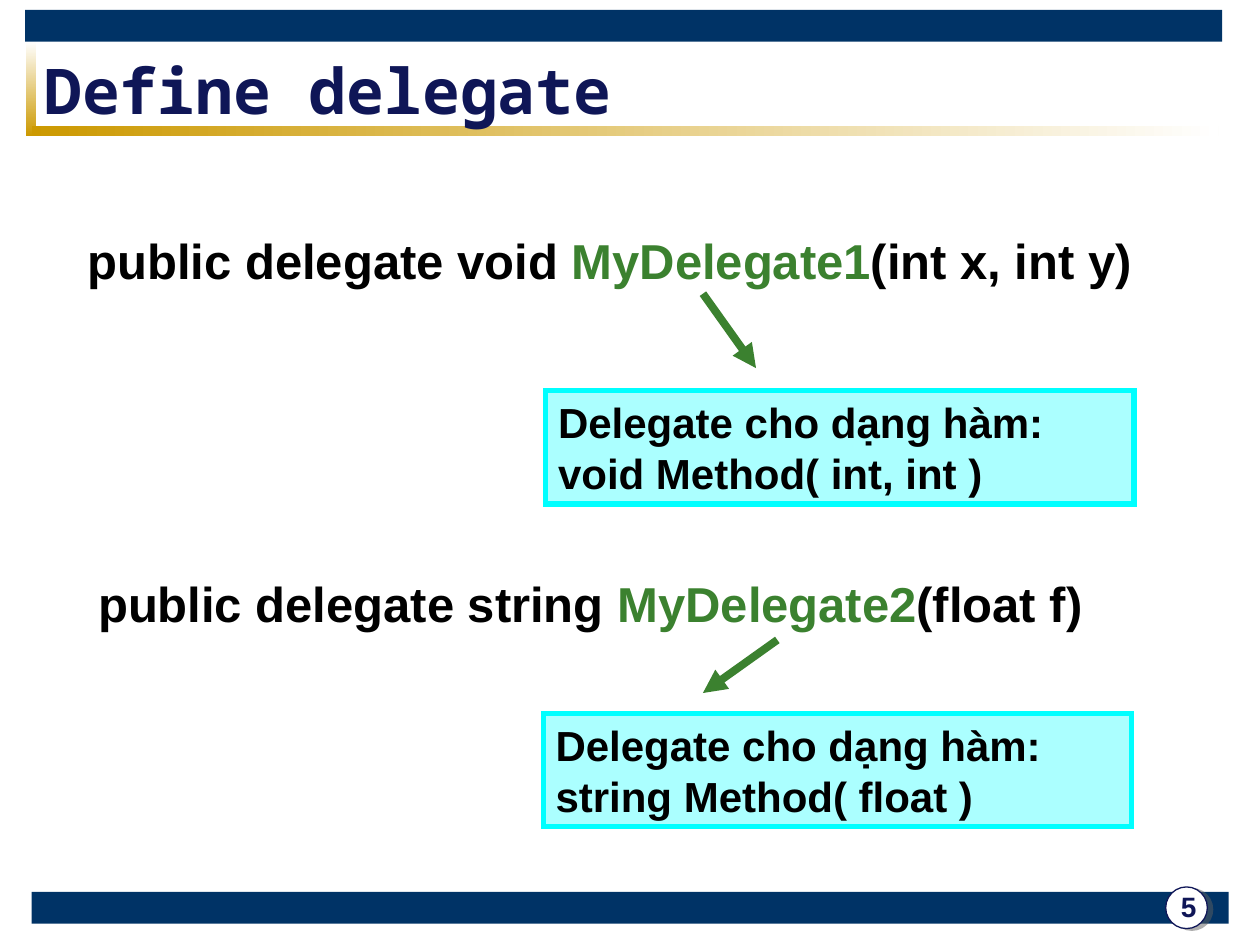
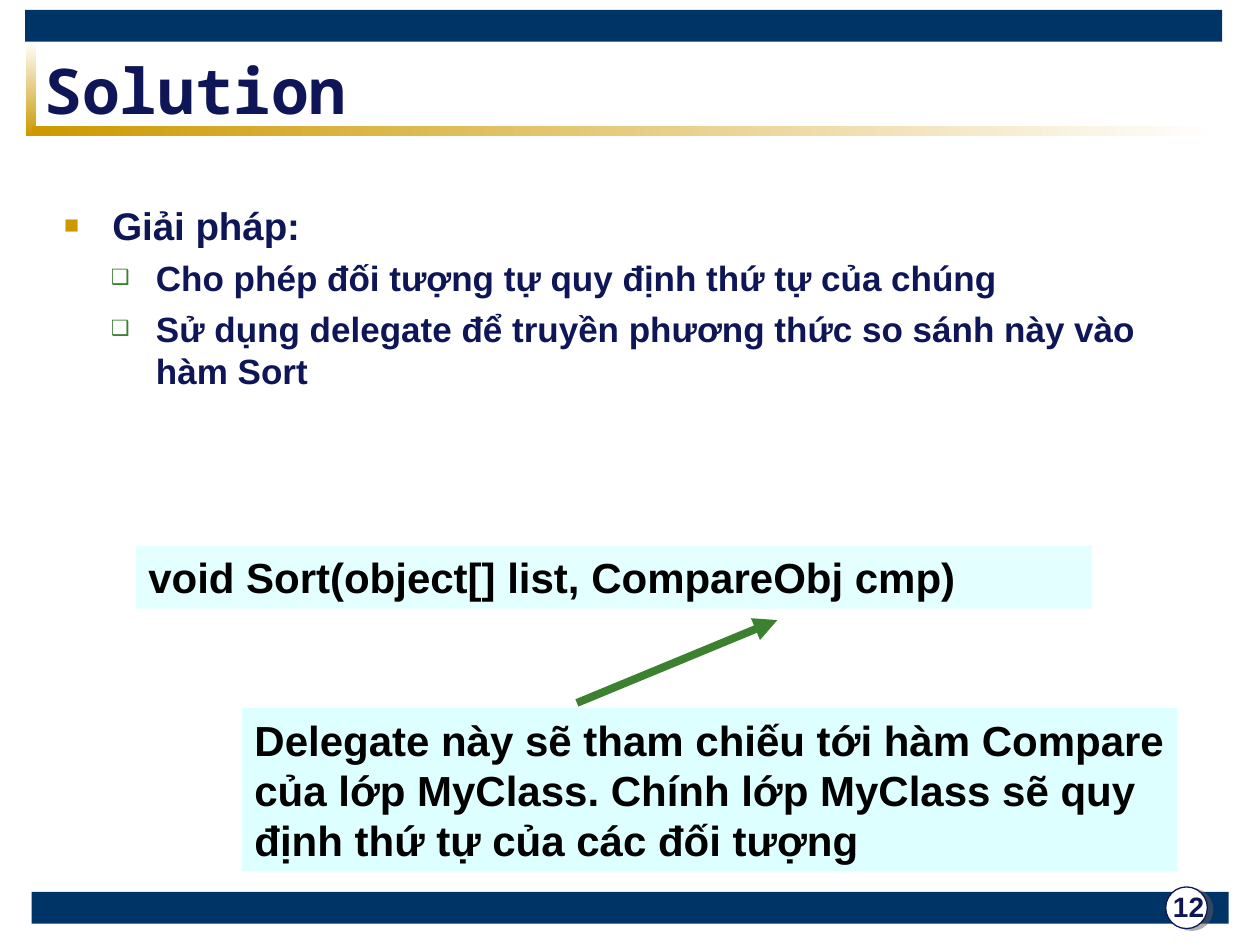
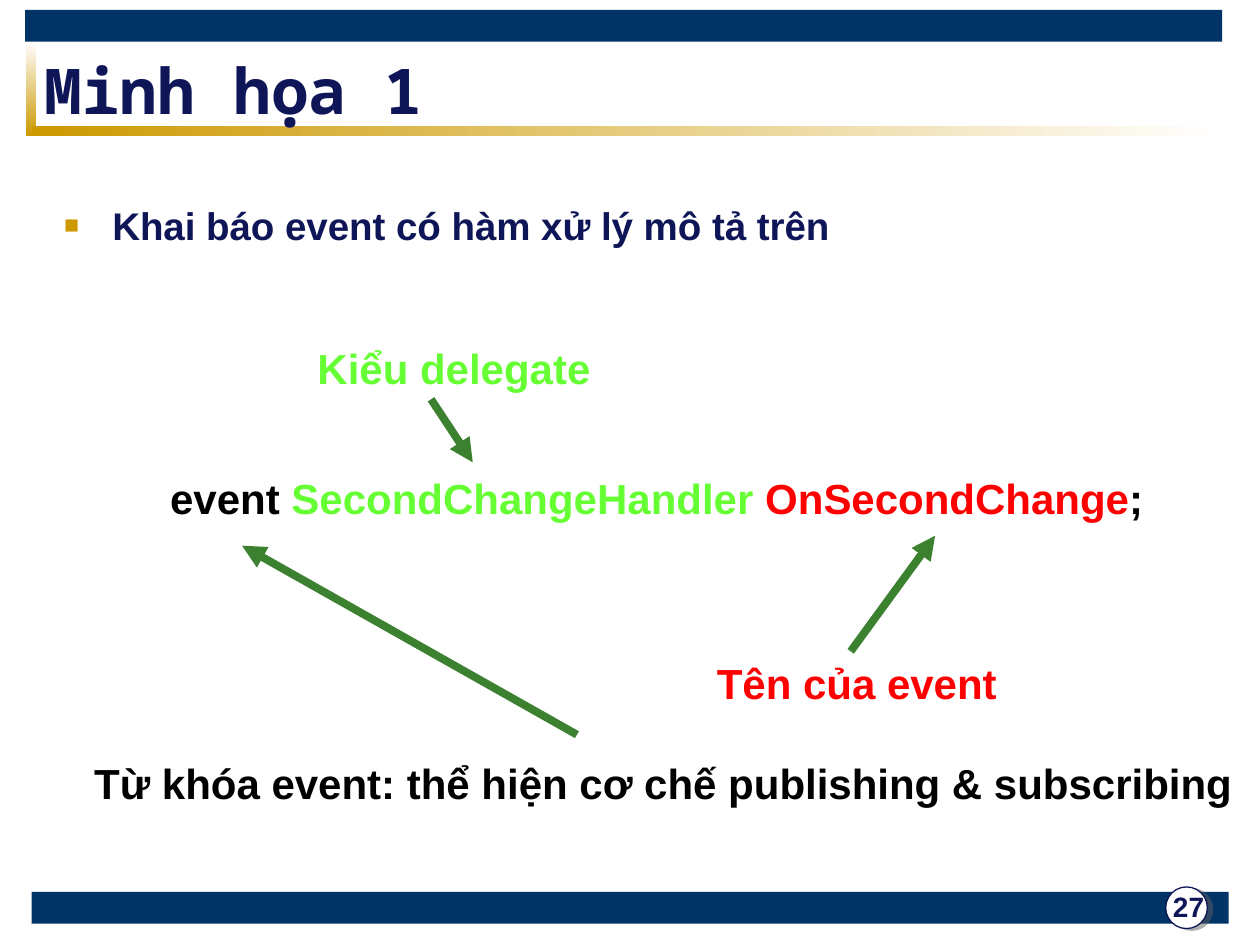
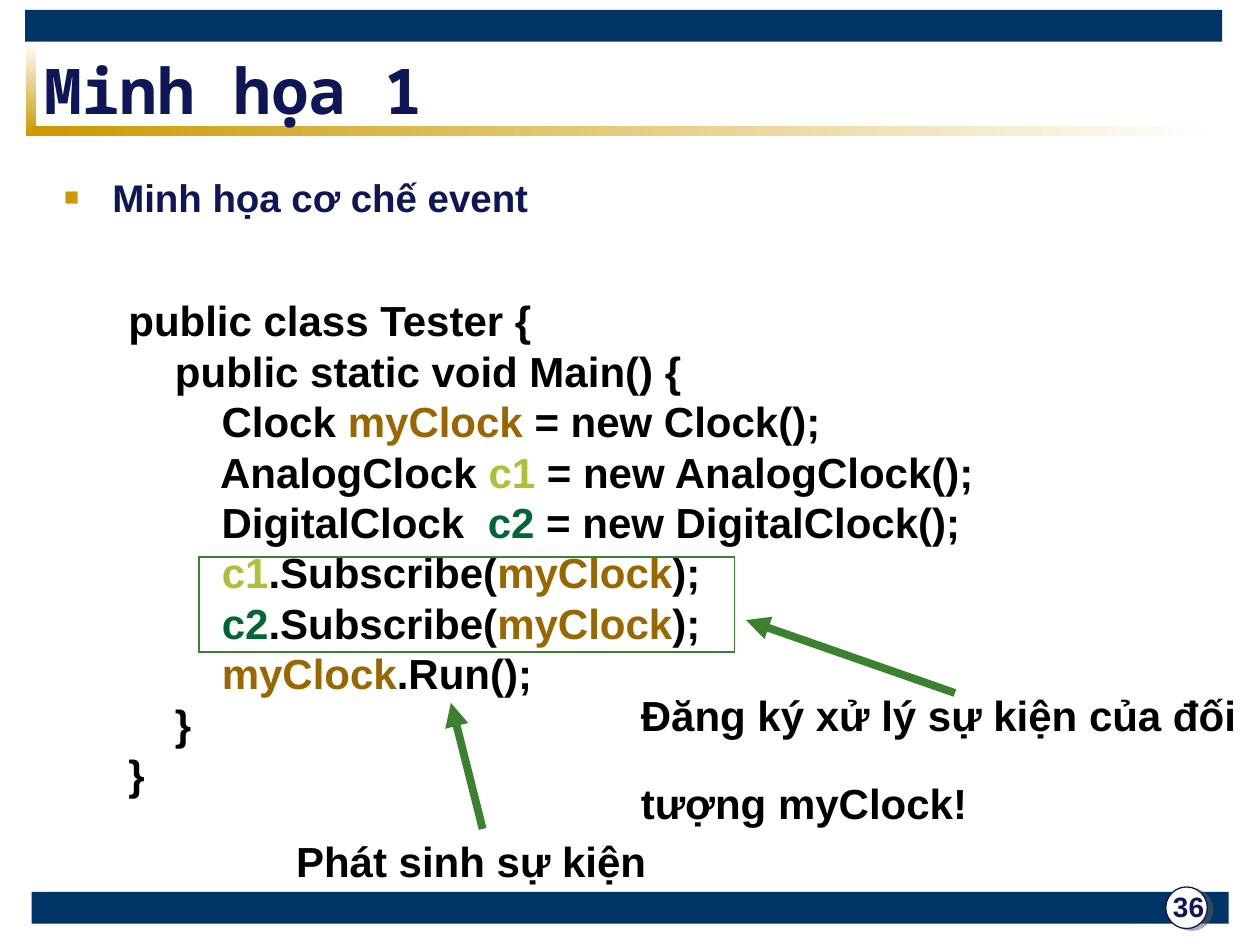
import pptx
import pptx.dml.color
import pptx.enum.shapes
import pptx.enum.text
import pptx.oxml
import pptx.oxml.ns
import pptx.util
from lxml import etree

Cm, Pt = pptx.util.Cm, pptx.util.Pt
qn = pptx.oxml.ns.qn
SHAPE = pptx.enum.shapes.MSO_SHAPE
ANCHOR = pptx.enum.text.MSO_ANCHOR
AUTO = pptx.enum.text.MSO_AUTO_SIZE

COLORS = {
    "white": "FFFFFF", "black": "000000", "band": "003366", "navy": "0F1657",
    "gold": "CC9900", "green": "3B812F", "lime": "66FF33", "red": "FF0000",
    "cyan": "00FFFF", "pale": "CCFFFF", "brown": "996600", "olive": "AFBF39",
    "forest": "006633", "shadow": "5F5F5F",
}
TEXT_FONT, TITLE_FONT = "Arial", "Noto Sans Mono"

# Shared frame: positions are left, top, width, height in cm
BANDS = [(0.64, 17.98, 24.13, 0.64), (0.51, 0.2, 24.13, 0.64)]
FADES = [  # position, first colour, last colour, angle
    ((0.53, 0.84, 0.2, 1.9), "white", "gold", 270),
    ((0.64, 2.54, 23.93, 0.2), "gold", "white", 0),
]
BADGE = (23.5, 17.88, 0.84, 0.84)
NUMBER = (23.34, 17.8, 1.24, 0.94)
TITLE = (0.64, 1.07, 22.86, 1.47)

# Bullet levels: character, colour, size %, text indent (cm), hanging (cm), font pt, space before pt
LEVELS = [
    ("■", "gold", 65, 0.97, 0.97, 22, 5.5),
    ("❑", "green", 60, 1.85, 0.91, 20, 5),
]

# Panels: fill, opacity %, border width, anchor
PANELS = {
    "note": ("cyan", 33, 3, ANCHOR.MIDDLE),
    "signature": ("pale", 54, 0, ANCHOR.TOP),
    "remark": ("pale", 63, 0, ANCHOR.TOP),
}

# A text is position, lines, options; a line is a string or a list of (words, colour)
SLIDES = [
    {
        "title": "Define delegate", "number": 5,
        "texts": [
            ((1.52, 4.52, 21.9, 1.45),
             [[("public delegate void ", "black"), ("MyDelegate1", "green"),
               ("(int x, int y)", "black")]], {"size": 28}),
            ((11, 7.87, 11.86, 2.29),
             ["Delegate cho dạng hàm: void Method( int, int )"], {"panel": "note"}),
            ((1.73, 11.43, 20.7, 1.45),
             [[("public delegate string ", "black"), ("MyDelegate2", "green"),
               ("(float f)", "black")]], {"size": 28}),
            ((10.95, 14.38, 11.86, 2.29),
             ["Delegate cho dạng hàm: string Method( float )"], {"panel": "note"}),
        ],
        "arrows": [(14.17, 5.92, 15.24, 7.42), (15.67, 12.9, 14.17, 13.97)],
    },
    {
        "title": "Solution", "number": 12,
        "body": ((1.04, 3.94, 23.29, 6.45), [
            (0, "Giải pháp:"),
            (1, "Cho phép đối tượng tự quy định thứ tự của chúng"),
            (1, "Sử dụng delegate để truyền phương thức so sánh này vào hàm Sort"),
        ]),
        "texts": [
            ((2.74, 11, 19.28, 1.27),
             ["void Sort(object[] list, CompareObj cmp)"], {"panel": "signature"}),
            ((4.88, 14.27, 18.85, 3.3),
             ["Delegate này sẽ tham chiếu tới hàm Compare của lớp MyClass. "
              "Chính lớp MyClass sẽ quy định thứ tự của các đối tượng"],
             {"panel": "remark"}),
        ],
        "arrows": [(11.63, 14.17, 15.67, 12.5)],
    },
    {
        "title": "Minh họa 1", "number": 27,
        "body": ((1.04, 3.94, 23.29, 3.1),
                 [(0, "Khai báo event có hàm xử lý mô tả trên")]),
        "texts": [
            ((3.18, 9.4, 20.2, 2.29),
             [[("event ", "black"), ("SecondChangeHandler ", "lime"),
               ("OnSecondChange", "red"), (";", "black")]], {}),
            ((6.15, 6.78, 6.2, 1.27), [[("Kiểu delegate", "lime")]], {}),
            ((14.2, 13.13, 6.3, 1.27), [[("Tên của event", "red")]], {}),
            ((1.65, 15.14, 23.7, 1.27),
             ["Từ khóa event: thể hiện cơ chế publishing & subscribing"], {}),
        ],
        "arrows": [(8.69, 8.05, 9.53, 9.32), (17.15, 13.13, 18.85, 10.8),
                   (11.63, 14.81, 4.88, 11)],
    },
    {
        "title": "Minh họa 1", "number": 36,
        "body": ((1.04, 3.38, 23.29, 1.47), [(0, "Minh họa cơ chế event")]),
        "texts": [
            ((2.34, 5.82, 21.59, 10.41), [
                "public class Tester {",
                "    public static void Main() {",
                [("        Clock ", "black"), ("myClock", "brown"),
                 (" = new Clock();", "black")],
                [("        AnalogClock ", "black"), ("c1", "olive"),
                 (" = new AnalogClock();", "black")],
                [("        DigitalClock  ", "black"), ("c2", "forest"),
                 (" = new DigitalClock();", "black")],
                [("        ", "black"), ("c1", "olive"), (".Subscribe(", "black"),
                 ("myClock", "brown"), (");", "black")],
                [("        ", "black"), ("c2", "forest"), (".Subscribe(", "black"),
                 ("myClock", "brown"), (");", "black")],
                [("        ", "black"), ("myClock", "brown"), (".Run();", "black")],
                "    }",
                "}",
            ], {"wrap": True}),
            ((12.67, 13.77, 12.73, 2.29),
             ["Đăng ký xử lý sự kiện của đối \vtượng myClock!"], {}),
            ((5.72, 16.71, 7.7, 1.27), ["Phát sinh sự kiện"], {}),
        ],
        "outline": (4.01, 11.23, 10.8, 1.91),
        "arrows": [(19.25, 13.97, 15.04, 12.5), (9.73, 16.71, 9.09, 14.17)],
    },
]


def rgb(name):
    return pptx.dml.color.RGBColor.from_string(COLORS[name])


def cm(values):
    return [Cm(v) for v in values]


def place(sp, at):
    sp.left, sp.top, sp.width, sp.height = cm(at)


def style(font, size, color, name=TEXT_FONT):
    font.name, font.size, font.bold = name, Pt(size), True
    font.color.rgb = rgb(color)


def add_plain(slide, kind, at, fill=None, line=None, width=0.75):
    sp = slide.shapes.add_shape(kind, *cm(at))
    sp.shadow.inherit = False
    if fill:
        sp.fill.solid()
        sp.fill.fore_color.rgb = rgb(fill)
    else:
        sp.fill.background()
    if line:
        sp.line.color.rgb = rgb(line)
        sp.line.width = Pt(width)
        ln = sp.element.spPr.find(qn("a:ln"))
        etree.SubElement(ln, qn("a:miter"), lim="800000")
    else:
        sp.line.fill.background()
    return sp


def add_frame(slide):
    """Draw the shared bands and badge, then move them to the slide master."""
    parts = [add_plain(slide, SHAPE.RECTANGLE, at, "band") for at in BANDS]
    for at, first, last, angle in FADES:
        sp = add_plain(slide, SHAPE.RECTANGLE, at)
        sp.fill.gradient()
        sp.fill.gradient_angle = angle
        for stop, color in zip(sp.fill.gradient_stops, (first, last)):
            stop.color.rgb = rgb(color)
        parts.append(sp)
    badge = add_plain(slide, SHAPE.OVAL, BADGE, "white", "navy")
    effects = badge.element.spPr.find(qn("a:effectLst"))
    shadow = etree.SubElement(effects, qn("a:outerShdw"), blurRad="0",
                              dist=str(Pt(3.2)), dir=str(18 * 60000))
    color = etree.SubElement(shadow, qn("a:srgbClr"), val=COLORS["shadow"])
    etree.SubElement(color, qn("a:alpha"), val="50000")
    tree = slide.slide_layout.slide_master.shapes.element
    for i, sp in enumerate(parts + [badge]):
        tree.insert(2 + i, sp.element)


def fill_title(slide, text):
    sp = slide.shapes.title
    place(sp, TITLE)
    tf = sp.text_frame
    tf.text = text
    tf.auto_size, tf.vertical_anchor = AUTO.NONE, ANCHOR.MIDDLE
    p = tf.paragraphs[0]
    p.alignment = pptx.enum.text.PP_ALIGN.LEFT
    style(p.runs[0].font, 36, "navy", TITLE_FONT)


def add_number(slide, number):
    tf = slide.shapes.add_textbox(*cm(NUMBER)).text_frame
    tf.word_wrap = True
    tf.text = str(number)
    p = tf.paragraphs[0]
    p.alignment = pptx.enum.text.PP_ALIGN.CENTER
    style(p.runs[0].font, 16, "navy")


def fill_body(slide, at, items):
    sp = slide.placeholders[1]
    place(sp, at)
    tf = sp.text_frame
    tf.auto_size = AUTO.NONE
    for i, (level, text) in enumerate(items):
        char, color, percent, indent, hanging, size, before = LEVELS[level]
        p = tf.paragraphs[0] if i == 0 else tf.add_paragraph()
        p.text, p.level = text, level
        pPr = p._p.get_or_add_pPr()
        pPr.set("marL", str(Cm(indent)))
        pPr.set("indent", str(-Cm(hanging)))
        bullet_color = etree.SubElement(pPr, qn("a:buClr"))
        etree.SubElement(bullet_color, qn("a:srgbClr"), val=COLORS[color])
        etree.SubElement(pPr, qn("a:buSzPct"), val=str(percent * 1000))
        etree.SubElement(pPr, qn("a:buChar"), char=char)
        p.space_before = Pt(before if i else 0)
        style(p.runs[0].font, size, "navy")


def add_panel(slide, at, name):
    fill, opacity, border, anchor = PANELS[name]
    sp = add_plain(slide, SHAPE.RECTANGLE, at, fill, fill if border else None, border)
    color = sp.element.spPr.find(qn("a:solidFill")).find(qn("a:srgbClr"))
    etree.SubElement(color, qn("a:alpha"), val=str(opacity * 1000))
    sp.text_frame.vertical_anchor = anchor
    return sp


def add_text(slide, at, lines, size=24, panel=None, wrap=False):
    sp = add_panel(slide, at, panel) if panel else slide.shapes.add_textbox(*cm(at))
    tf = sp.text_frame
    tf.word_wrap = wrap or panel is not None
    tf.auto_size = AUTO.SHAPE_TO_FIT_TEXT
    for i, line in enumerate(lines):
        p = tf.paragraphs[0] if i == 0 else tf.add_paragraph()
        p.alignment = pptx.enum.text.PP_ALIGN.LEFT
        if isinstance(line, str):
            p.text = line
            for r in p.runs:
                style(r.font, size, "black")
        else:
            for words, color in line:
                r = p.add_run()
                r.text = words
                style(r.font, size, color)


def add_arrow(slide, ends):
    sp = slide.shapes.add_connector(pptx.enum.shapes.MSO_CONNECTOR.STRAIGHT, *cm(ends))
    sp.line.color.rgb = rgb("green")
    sp.line.width = Pt(4.5)
    spPr = sp.element.spPr
    etree.SubElement(spPr.find(qn("a:ln")), qn("a:tailEnd"), type="triangle")
    etree.SubElement(spPr, qn("a:effectLst"))


def main():
    prs = pptx.Presentation()
    prs.slide_width, prs.slide_height = Cm(25.4), Cm(19.05)
    for i, content in enumerate(SLIDES):
        layout = prs.slide_layouts[1 if "body" in content else 5]
        slide = prs.slides.add_slide(layout)
        if i == 0:
            add_frame(slide)
        add_number(slide, content["number"])
        fill_title(slide, content["title"])
        if "body" in content:
            fill_body(slide, *content["body"])
        for at, lines, options in content["texts"]:
            add_text(slide, at, lines, **options)
        if "outline" in content:
            add_plain(slide, SHAPE.RECTANGLE, content["outline"], line="green", width=1)
        for ends in content["arrows"]:
            add_arrow(slide, ends)
    prs.save("out.pptx")


if __name__ == "__main__":
    main()
